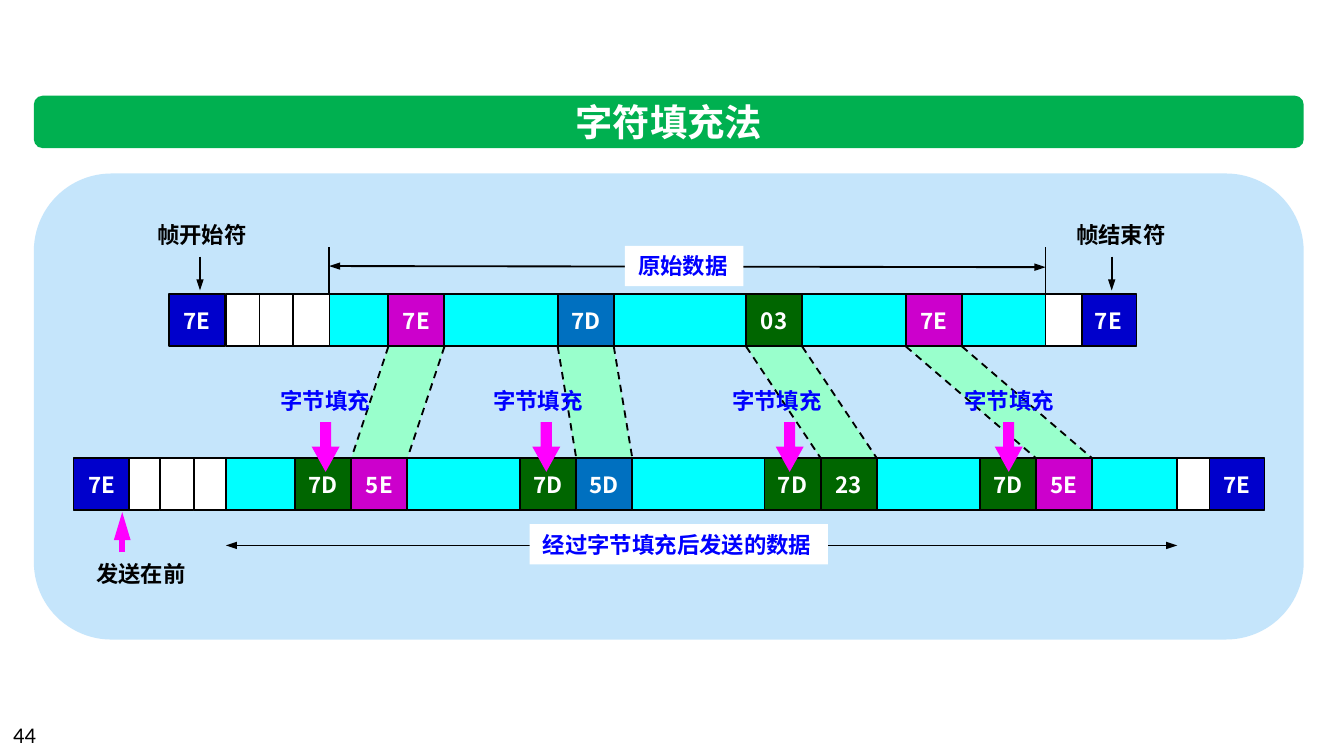
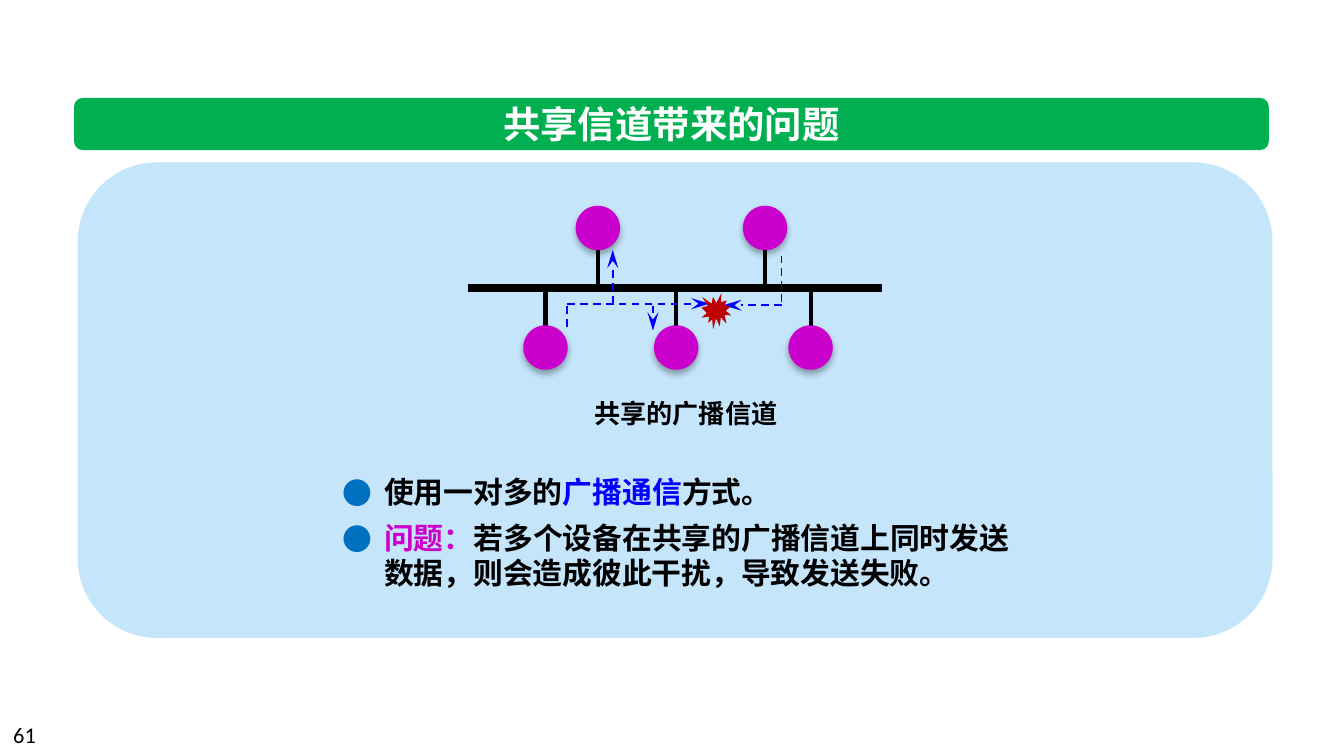
from lxml import etree
from pptx import Presentation
from pptx.dml.color import RGBColor
from pptx.enum.dml import MSO_LINE
from pptx.enum.shapes import MSO_CONNECTOR as CONN, MSO_SHAPE as SHAPE
from pptx.enum.text import MSO_ANCHOR as ANCHOR, MSO_AUTO_SIZE as AUTO, PP_ALIGN as ALIGN
from pptx.oxml.ns import qn
from pptx.util import Cm, Pt

CJK = "Noto Sans CJK SC"
GREEN, PALE = "00B050", "C5E5FB"
BLACK, WHITE, BLUE = "000000", "FFFFFF", "0000FF"
NAVY, CYAN, PURPLE, FOREST, AZURE = "0000CC", "00FFFF", "CC00CC", "006600", "0070C0"
MINT, MAGENTA, RED = "99FFCC", "FF00FF", "C00000"

CELL_W, ROW_H = 1.06, 0.99
ROW1_Y, ROW2_Y = 2.28, 5.38
LABEL_H = 0.76
BUS_Y, STATION = 2.37, 0.84


def rgb(value):
    return RGBColor.from_string(value)


def sub(parent, tag, **attrs):
    return etree.SubElement(parent, qn(tag), attrs)


def add_run(p, text, size, color=BLACK, bold=True, font=CJK):
    r = p.add_run()
    r.text = text
    f = r.font
    f.size, f.bold, f.name = Pt(size), bold, font
    f.color.rgb = rgb(color)
    sub(r._r.get_or_add_rPr(), "a:ea", typeface=font)


def setup_frame(tf, wrap, anchor=ANCHOR.MIDDLE):
    tf.auto_size = AUTO.NONE
    tf.word_wrap = wrap
    tf.vertical_anchor = anchor
    tf.margin_left = tf.margin_right = Cm(0.25)
    tf.margin_top = tf.margin_bottom = 0


def place(sp, x, y, w, h):
    sp.left, sp.top, sp.width, sp.height = Cm(x), Cm(y), Cm(w), Cm(h)
    tree = sp.element.getparent()
    tree.append(sp.element)


def paint(sp, fill, line=None):
    sp.shadow.inherit = False
    sp.fill.solid()
    sp.fill.fore_color.rgb = rgb(fill)
    if line:
        sp.line.color.rgb = rgb(line)
        sp.line.width = Pt(1)
    else:
        sp.line.fill.background()


def write(sp, text, size, color, align):
    setup_frame(sp.text_frame, False)
    p = sp.text_frame.paragraphs[0]
    p.alignment = align
    add_run(p, text, size, color)


class Region:
    def __init__(self, slide, x, y):
        self.slide, self.x, self.y = slide, x, y

    def shape(self, kind, x, y, w, h, fill, line=None):
        sp = self.slide.shapes.add_shape(kind, Cm(self.x + x), Cm(self.y + y), Cm(w), Cm(h))
        paint(sp, fill, line)
        return sp

    def label(self, text, x, y, w, h=LABEL_H, color=BLUE, size=12, align=ALIGN.LEFT, fill=None):
        sp = self.slide.shapes.add_textbox(Cm(self.x + x), Cm(self.y + y), Cm(w), Cm(h))
        if fill:
            sp.fill.solid()
            sp.fill.fore_color.rgb = rgb(fill)
        write(sp, text, size, color, align)

    def line(self, x1, y1, x2, y2, color=BLACK, width=1, dash=False,
             head=None, tail=None, tip=("sm", "med")):
        c = self.slide.shapes.add_connector(
            CONN.STRAIGHT, Cm(self.x + x1), Cm(self.y + y1), Cm(self.x + x2), Cm(self.y + y2))
        c.line.color.rgb = rgb(color)
        c.line.width = Pt(width)
        if dash:
            c.line.dash_style = MSO_LINE.DASH
        ln = c.line._get_or_add_ln()
        for tag, kind in (("a:headEnd", head), ("a:tailEnd", tail)):
            if kind:
                sub(ln, tag, type=kind, w=tip[0], len=tip[1])
        sub(c.element.spPr, "a:effectLst")

    def polygon(self, points, fill):
        pts = [(Cm(self.x + x), Cm(self.y + y)) for x, y in points]
        builder = self.slide.shapes.build_freeform(*pts[0])
        builder.add_line_segments(pts[1:], close=True)
        paint(builder.convert_to_shape(), fill)

    def cell(self, x, y, fill, text=None, w=CELL_W):
        sp = self.shape(SHAPE.RECTANGLE, x, y, w, ROW_H, fill, BLACK)
        if text:
            write(sp, text, 12, WHITE, ALIGN.CENTER)


def title_band(slide, text, x, y, w, h):
    Region(slide, x, y).shape(SHAPE.ROUNDED_RECTANGLE, 0, 0, w, h, GREEN)
    title = slide.shapes.title
    place(title, x, y, w, h)
    write(title, text, 20, WHITE, ALIGN.CENTER)


def panel(slide, x, y, w, h):
    region = Region(slide, x, y)
    region.shape(SHAPE.ROUNDED_RECTANGLE, 0, 0, w, h, PALE)
    return region


def page_number(slide, number):
    sp = slide.shapes.add_textbox(0, Cm(13.51), Cm(5.92), Cm(0.76))
    setup_frame(sp.text_frame, True)
    add_run(sp.text_frame.paragraphs[0], number, 12, bold=False, font="Calibri")


def frame_row(area, y, flags, data, headers):
    area.cell(data[0], y, CYAN, w=data[1])
    for x in flags:
        area.cell(x, y, NAVY, "7E")
    for x, w in headers:
        area.cell(x, y, WHITE, w=w)


def stuffing_diagram(area):
    stuffings = [
        (6.7, 4.94, "7E", "5E", PURPLE, 4.41, 5.25),
        (9.9, 9.19, "7D", "5D", AZURE, 8.43, 9.42),
        (13.46, 13.81, "03", "23", FOREST, 12.95, 14.02),
        (16.48, 17.88, "7E", "5E", PURPLE, 17.34, 18.16),
    ]
    top = ROW1_Y + ROW_H
    for src, dst, *_ in stuffings:
        code = dst + CELL_W
        area.polygon([(code, ROW2_Y), (code + CELL_W, ROW2_Y),
                      (src + CELL_W, top), (src, top)], MINT)

    frame_row(area, ROW1_Y, (2.56, 19.78), (5.13, 14.02),
              [(3.63 + i * 0.635, 0.69) for i in range(3)] + [(19.12, 0.69)])
    frame_row(area, ROW2_Y, (0.75, 22.2), (3.63, 17.98),
              [(1.8, 0.74), (2.38, 0.71), (3.02, 0.61), (21.61, 0.61)])

    for src, dst, before, after, color, label_x, arrow_x in stuffings:
        area.cell(src, ROW1_Y, color, before)
        area.cell(dst, ROW2_Y, FOREST, "7D")
        area.cell(dst + CELL_W, ROW2_Y, color, after)
        for edge in (0, CELL_W):
            area.line(src + edge, top, dst + CELL_W + edge, ROW2_Y, dash=True)
        area.label("字节填充", label_x, 3.91, 2.24)
        arrow = area.shape(SHAPE.DOWN_ARROW, arrow_x, 4.7, 0.53, 0.94, MAGENTA)
        arrow.adjustments[0], arrow.adjustments[1] = 0.394, 0.901

    for x in (5.58, 19.12):
        area.line(x, 1.39, x, 2.26)
    area.line(5.58, 1.75, 19.12, 1.77, head="triangle", tail="triangle")
    area.label("原始数据", 11.17, 1.37, 2.24, fill=WHITE)
    area.line(3.63, 7.03, 21.61, 7.03, head="triangle", tail="triangle")
    area.label("经过字节填充后发送的数据", 9.37, 6.63, 5.64, fill=WHITE)

    for text, label_x, arrow_x in (("帧开始符", 2.08, 3.14), ("帧结束符", 19.45, 20.37)):
        area.label(text, label_x, 0.78, 2.24, color=BLACK)
        area.line(arrow_x, 1.57, arrow_x, 2.21, tail="triangle")
    area.line(1.67, 7.16, 1.67, 6.4, MAGENTA, 3, tail="triangle", tip=("med", "lg"))
    area.label("发送在前", 0.93, 7.18, 2.36, color=BLACK)


def station(area, x, y, stem_y):
    area.line(x, BUS_Y, x, stem_y, width=2.25)
    sp = area.shape(SHAPE.OVAL, x - STATION / 2, y, STATION, STATION, PURPLE)
    effects = sp.element.spPr.find(qn("a:effectLst"))
    shadow = sub(effects, "a:outerShdw", blurRad=str(Pt(3.5)), dist=str(Pt(2.2)),
                 dir="5400000", algn="t", rotWithShape="0")
    sub(sub(shadow, "a:srgbClr", val=BLACK), "a:alpha", val="32000")


def bus_diagram(area):
    area.line(7.37, BUS_Y, 15.19, BUS_Y, width=4.5)
    for x in (9.83, 12.99):
        station(area, x, 0.82, 1.53)
    for x in (8.84, 11.31, 13.85):
        station(area, x, 3.08, 3.23)
    area.label("共享的广播信道", 4.75, 4.33, 13.49, 0.8, BLACK, 14, ALIGN.CENTER)
    signals = [
        (13.3, 2.7, 12.2, 2.7, "stealth"),
        (13.3, 1.76, 13.3, 2.7, None),
        (9.25, 2.67, 11.94, 2.67, "stealth"),
        (10.11, 2.67, 10.11, 1.65, "stealth"),
        (10.87, 2.72, 10.87, 3.18, "stealth"),
        (9.25, 2.72, 9.25, 3.18, None),
    ]
    for x1, y1, x2, y2, tail in signals:
        area.line(x1, y1, x2, y2, BLUE, dash=True, tail=tail, tip=("med", "lg"))
    area.shape(SHAPE.EXPLOSION1, 11.79, 2.47, 0.56, 0.69, RED)


def bullet_list(area, items):
    body = area.slide.placeholders[1]
    place(body, area.x + 4.75, area.y + 5.7, 13.49, 2.6)
    tf = body.text_frame
    setup_frame(tf, True)
    for i, runs in enumerate(items):
        p = tf.add_paragraph() if i else tf.paragraphs[0]
        pPr = p._p.get_or_add_pPr()
        pPr.set("marL", str(Cm(0.79)))
        pPr.set("indent", str(-Cm(0.79)))
        sub(sub(pPr, "a:buClr"), "a:srgbClr", val=AZURE)
        sub(pPr, "a:buFont", typeface=CJK)
        sub(pPr, "a:buChar", char="●")
        p.alignment = ALIGN.LEFT
        p.line_spacing = Pt(18.75)
        p.space_before = Pt(6 if i else 0)
        for text, color in runs:
            add_run(p, text, 16, color)


def stuffing_slide(prs):
    s = prs.slides.add_slide(prs.slide_layouts[5])
    title_band(s, "字符填充法", 0.64, 1.81, 24, 0.99)
    stuffing_diagram(panel(s, 0.64, 3.28, 24, 8.81))
    page_number(s, "44")


def channel_slide(prs):
    s = prs.slides.add_slide(prs.slide_layouts[1])
    title_band(s, "共享信道带来的问题", 1.4, 1.85, 22.58, 0.99)
    area = panel(s, 1.47, 3.07, 22.58, 8.99)
    bus_diagram(area)
    bullet_list(area, [
        [("使用一对多的", BLACK), ("广播通信", BLUE), ("方式。", BLACK)],
        [("问题：", PURPLE),
         ("若多个设备在共享的广播信道上同时发送数据，则会造成彼此干扰，导致发送失败。", BLACK)],
    ])
    page_number(s, "61")


def main():
    prs = Presentation()
    prs.slide_width, prs.slide_height = Cm(25.4), Cm(14.29)
    stuffing_slide(prs)
    channel_slide(prs)
    prs.save("out.pptx")


if __name__ == "__main__":
    main()
